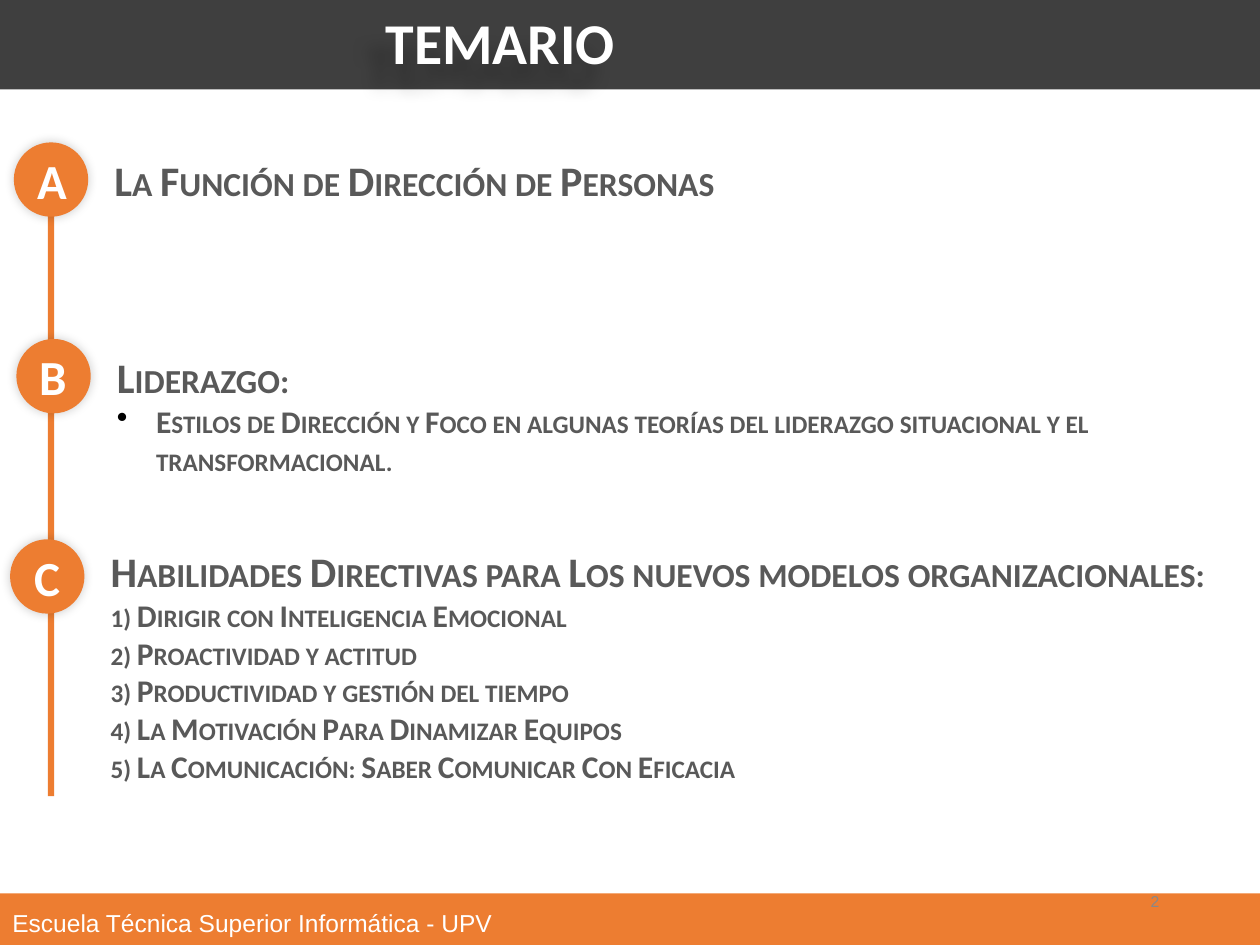
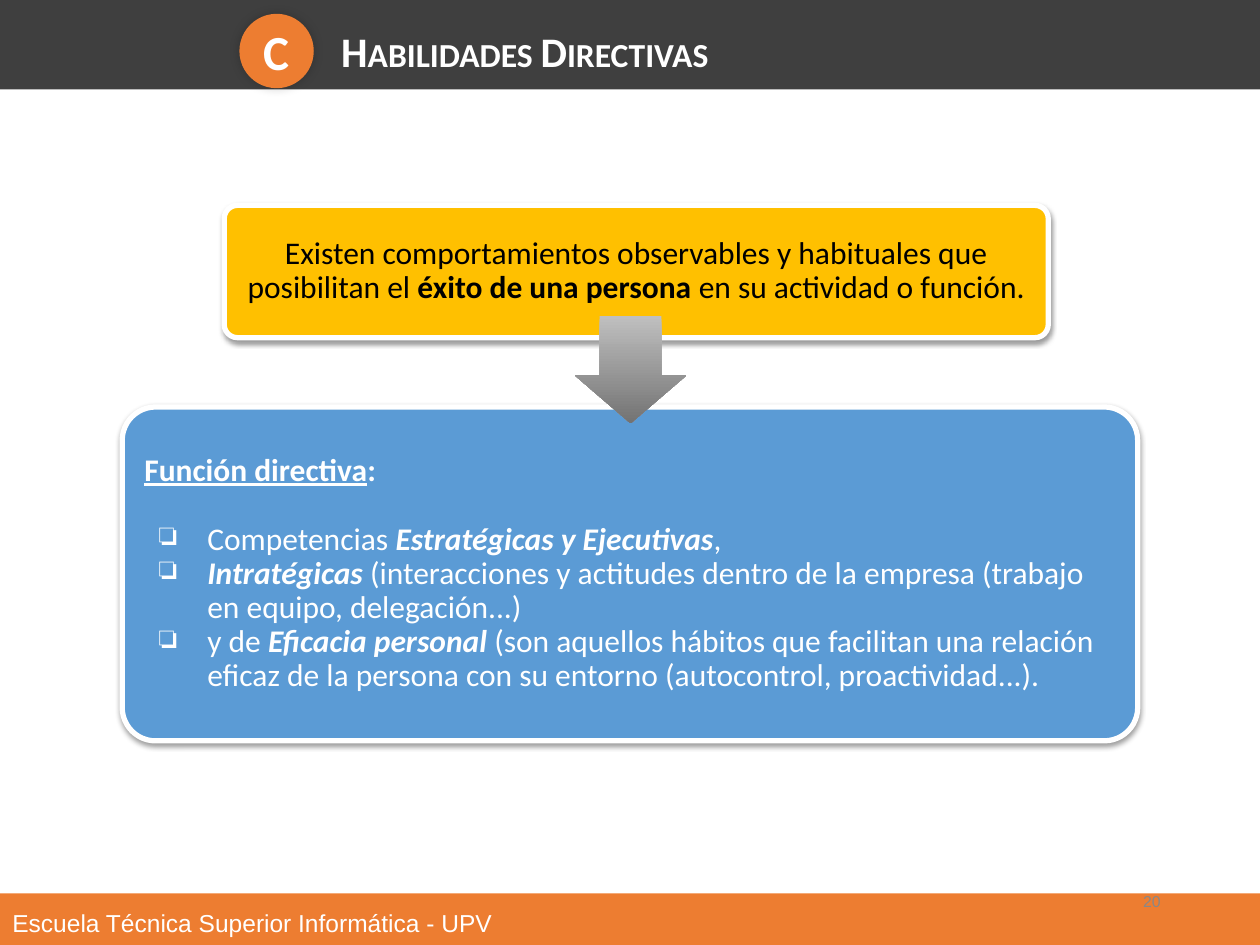
from lxml import etree
from pptx import Presentation, util as u
from pptx.dml.color import RGBColor
from pptx.enum import shapes, text
from pptx.oxml.ns import qn

WIDTH, HEIGHT = 10, 7.5
DARK, ORANGE, GOLD, BLUE = "3F3F3F", "ED7D31", "FFC000", "5B9BD5"
WHITE, BLACK, GREY, PALE = "FFFFFF", "000000", "595959", "888888"
HEADER_HEIGHT, FOOTER_TOP, FOOTER_HEIGHT = 0.71, 7.09, 0.47
BADGE, BADGE_GAP = 0.59, 0.7
FOOTER = "Escuela Técnica Superior Informática - UPV"

# letter, badge left, badge top, heading drop, heading, entries, entry bullet
TOPICS = [
    ("A", 0.11, 1.13, 0.05, "La Función de Dirección de Personas", [], None),
    ("B", 0.13, 2.69, 0.05, "Liderazgo:",
     ["Estilos de Dirección y Foco en algunas teorías del liderazgo situacional "
      "y el transformacional."], "•"),
    ("C", 0.08, 4.28, 0, "Habilidades Directivas para Los nuevos modelos organizacionales:",
     ["1) Dirigir con Inteligencia Emocional",
      "2) Proactividad y actitud",
      "3) Productividad y gestión del tiempo",
      "4) La Motivación Para Dinamizar Equipos",
      "5) La Comunicación: Saber Comunicar Con Eficacia"], None),
]

# each paragraph is a list of (words, style); b bold, i italic, u underlined
PREMISE = [("Existen comportamientos observables y habituales que posibilitan el ", ""),
           ("éxito de una persona ", "b"), ("en su actividad o función.", "")]
DUTY_TITLE = [("Función directiva", "bu"), (":", "b")]
DUTIES = [
    [("Competencias ", ""), ("Estratégicas y Ejecutivas", "bi"), (",", "")],
    [("Intratégicas", "bi"),
     (" (interacciones y actitudes dentro de la empresa (trabajo en equipo, delegación...)", "")],
    [("y de ", ""), ("Eficacia personal", "bi"),
     (" (son aquellos hábitos que facilitan una relación eficaz de la persona con su "
      "entorno (autocontrol, proactividad...).", "")],
]


def rgb(color):
    return RGBColor.from_string(color)


def inches(*lengths):
    return [u.Inches(length) for length in lengths]


def add_shadow(shape, opacity, blur, distance=0, angle=0):
    shape.shadow.inherit = False
    effects = shape._element.spPr.find(qn("a:effectLst"))
    shadow = etree.SubElement(effects, qn("a:outerShdw"), blurRad=str(u.Pt(blur)),
                              dist=str(u.Pt(distance)), dir=str(angle * 60000),
                              algn="ctr", rotWithShape="0")
    tint = etree.SubElement(shadow, qn("a:srgbClr"), val=BLACK)
    etree.SubElement(tint, qn("a:alpha"), val=str(opacity * 1000))


def add_block(page, kind, at, color):
    block = page.shapes.add_shape(kind, *inches(*at))
    block.shadow.inherit = False
    block.fill.solid()
    block.fill.fore_color.rgb = rgb(color)
    block.line.fill.background()
    return block


def add_box(page, at, anchor=text.MSO_ANCHOR.TOP):
    box = page.shapes.add_textbox(*inches(*at))
    box.text_frame.word_wrap = True
    box.text_frame.vertical_anchor = anchor
    return box


def style(para, size, color, name="Calibri", bold=False, small_caps=False):
    for span in para.runs:
        span.font.size, span.font.name, span.font.bold = u.Pt(size), name, bold
        span.font.color.rgb = rgb(color)
        if small_caps:
            span._r.get_or_add_rPr().set("cap", "small")


def write(frame, words, size, color, align=text.PP_ALIGN.LEFT, **look):
    """Fill the frame's first paragraph with one style."""
    frame.text = words
    para = frame.paragraphs[0]
    para.alignment = align
    style(para, size, color, **look)


def write_spans(para, spans, color, align=text.PP_ALIGN.LEFT):
    """Write spans with their own bold, italic and underline marks."""
    para.alignment, para.line_spacing = align, 0.9
    for words, _ in spans:
        para.add_run().text = words
    style(para, 18, color)
    for span, (_, marks) in zip(para.runs, spans):
        span.font.bold, span.font.italic, span.font.underline = (m in marks for m in "biu")


def add_bullet(para, mark, color, left, hang):
    props = para._p.get_or_add_pPr()
    props.set("marL", str(u.Inches(left)))
    props.set("indent", str(-u.Inches(hang)))
    tint = etree.SubElement(props, qn("a:buClr"))
    etree.SubElement(tint, qn("a:srgbClr"), val=color)
    etree.SubElement(props, qn("a:buChar"), char=mark)


def add_badge(page, letter, left, top):
    badge = add_block(page, shapes.MSO_SHAPE.OVAL, (left, top, BADGE, BADGE), ORANGE)
    add_shadow(badge, 20, 6)
    badge.text_frame.vertical_anchor = text.MSO_ANCHOR.MIDDLE
    write(badge.text_frame, letter, 28, WHITE, text.PP_ALIGN.CENTER, bold=True)


def add_heading(page, words, at, color):
    box = add_box(page, at)
    write(box.text_frame, words, 24, color, bold=True, small_caps=True)
    return box


def add_page(deck, number, number_right):
    """Add a page with its header band, footer band and page number."""
    page = deck.slides.add_slide(deck.slide_layouts[6])
    add_block(page, shapes.MSO_SHAPE.RECTANGLE, (0, 0, WIDTH, HEADER_HEIGHT), DARK)
    footer = add_block(page, shapes.MSO_SHAPE.RECTANGLE,
                       (0, FOOTER_TOP, WIDTH, FOOTER_HEIGHT), ORANGE)
    frame = footer.text_frame
    frame.vertical_anchor = text.MSO_ANCHOR.MIDDLE
    frame.margin_top = frame.margin_bottom = u.Inches(0.1)
    write(frame, FOOTER, 14, WHITE, name="Arial")
    corner = add_box(page, (number_right - 2.25, 6.95, 2.25, 0.4), text.MSO_ANCHOR.MIDDLE)
    write(corner.text_frame, number, 9, PALE, text.PP_ALIGN.RIGHT, name="Arial")
    return page


def add_card(page, at, color):
    card = add_block(page, shapes.MSO_SHAPE.ROUNDED_RECTANGLE, at, color)
    card.adjustments[0] = 0.1
    card.line.color.rgb, card.line.width = rgb(WHITE), u.Pt(3)
    add_shadow(card, 38, 3.1, 1.6, 90)
    frame = card.text_frame
    frame.margin_left = frame.margin_right = u.Inches(0.1)
    frame.margin_top = frame.margin_bottom = u.Inches(0.1)
    frame.word_wrap, frame.vertical_anchor = True, text.MSO_ANCHOR.MIDDLE
    return frame


def build_syllabus(deck):
    page = add_page(deck, "2", 9.3)
    title = add_box(page, (2.21, 0, 3.52, 0.72), text.MSO_ANCHOR.MIDDLE)
    write(title.text_frame, "TEMARIO", 33, WHITE, text.PP_ALIGN.CENTER, bold=True)
    title.text_frame.paragraphs[0].line_spacing = 0.9
    add_shadow(title, 25, 10, 17, 130)
    add_block(page, shapes.MSO_SHAPE.RECTANGLE, (0.38, 1.26, 0.05, 5.06), ORANGE)
    for letter, left, top, drop, heading, entries, mark in TOPICS:
        add_badge(page, letter, left, top)
        at = (left + BADGE_GAP, top + drop, 9.09, 0.5 + 0.37 * len(entries))
        box = add_heading(page, heading, at, GREY)
        for entry in entries:
            para = box.text_frame.add_paragraph()
            para.text = entry
            if mark:
                add_bullet(para, mark, BLACK, 0.31, 0.31)
            style(para, 18, GREY, bold=True, small_caps=True)


def build_skills(deck):
    page = add_page(deck, "20", 9.31)
    add_badge(page, "C", 1.9, 0.11)
    add_heading(page, "Habilidades Directivas", (2.61, 0.15, 5.78, 0.5), WHITE)

    premise = add_card(page, (1.78, 1.63, 6.54, 1.05), GOLD)
    write_spans(premise.paragraphs[0], PREMISE, BLACK, text.PP_ALIGN.CENTER)

    duty = add_card(page, (0.97, 3.23, 8.06, 2.65), BLUE)
    write_spans(duty.paragraphs[0], DUTY_TITLE, WHITE)
    for index, spans in enumerate(DUTIES):
        para = duty.add_paragraph()
        add_bullet(para, "❏", WHITE, 0.5, 0.38)
        write_spans(para, spans, WHITE)
        para.space_before = u.Pt(0 if index else 20)

    arrow = add_block(page, shapes.MSO_SHAPE.DOWN_ARROW, (4.56, 2.51, 0.89, 0.85), PALE)
    arrow.adjustments[0], arrow.adjustments[1] = 0.55, 0.45
    arrow.fill.gradient()
    arrow.fill.gradient_angle = 270
    for stop, position, color in zip(arrow.fill.gradient_stops, (0, 1), ("BFBFBF", "737373")):
        stop.position, stop.color.rgb = position, rgb(color)


def main():
    deck = Presentation()
    deck.slide_width, deck.slide_height = inches(WIDTH, HEIGHT)
    build_syllabus(deck)
    build_skills(deck)
    deck.save("out.pptx")


if __name__ == "__main__":
    main()
